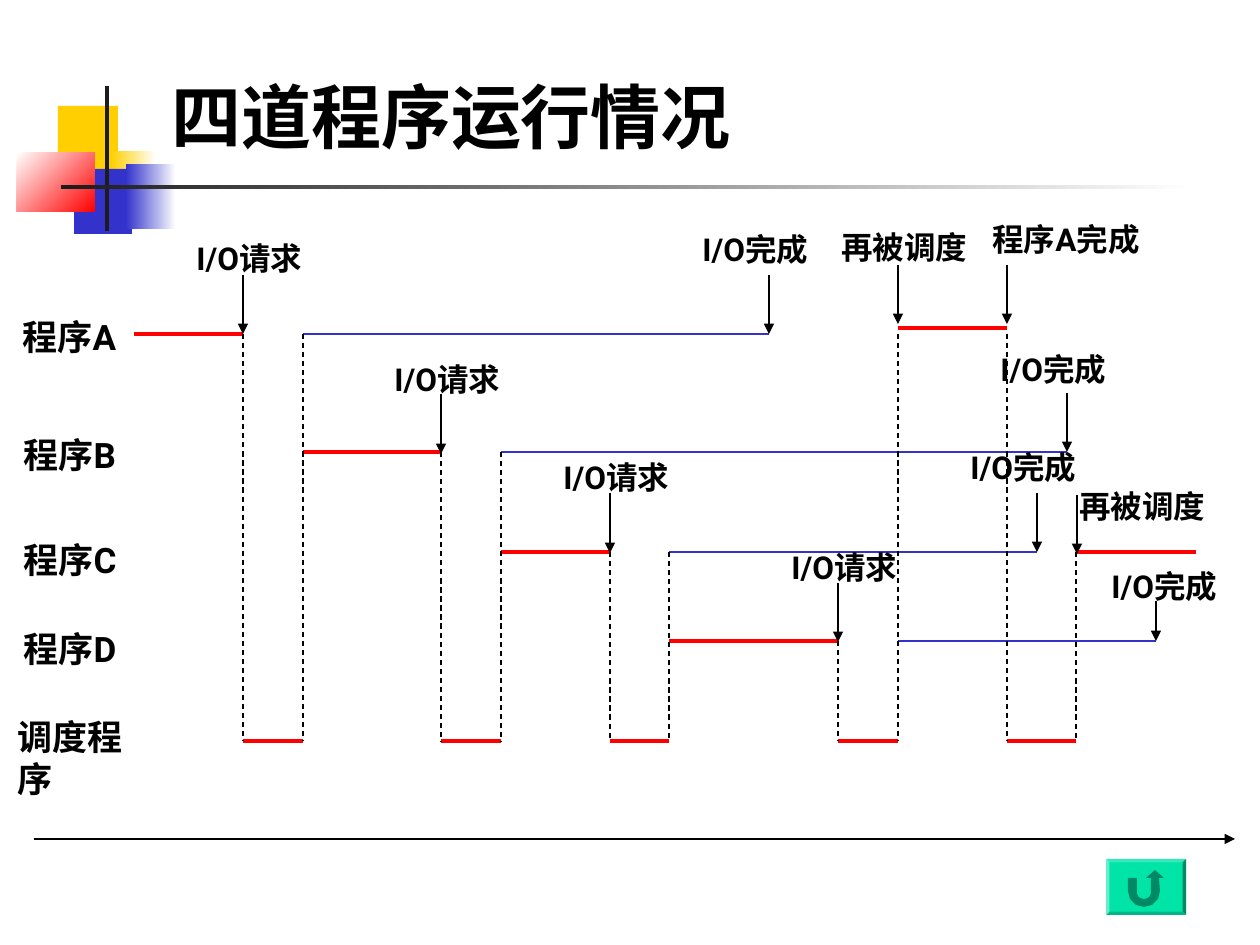
import math
import pptx
import pptx.util
import pptx.dml.color
import pptx.enum.dml
import pptx.enum.shapes
import pptx.enum.text
import pptx.oxml
import pptx.oxml.ns

SCALE = 914400 / 126  # EMU in one px
HUES = {"ink": "000000", "dark": "1C1C1C", "white": "FFFFFF", "gold": "FFCF01",
        "blue": "3333CC", "red": "FF0000", "mint": "00E4A8", "pine": "008965"}
SHAPES = pptx.enum.shapes.MSO_SHAPE
ANCHOR = pptx.enum.text.MSO_ANCHOR


def emu(px):
    return pptx.util.Emu(round(px * SCALE))


def hue(name):
    return pptx.dml.color.RGBColor.from_string(HUES[name])


class Board:
    def __init__(self, slide):
        self.slide = slide
        self.font = "Roboto"

    def paint(self, shape, color):
        shape.shadow.inherit = False
        shape.line.fill.background()
        shape.fill.solid()
        shape.fill.fore_color.rgb = hue(color)
        return shape

    def block(self, x, y, w, h, color, kind=SHAPES.RECTANGLE):
        box = self.slide.shapes.add_shape(kind, emu(x), emu(y), emu(w), emu(h))
        return self.paint(box, color)

    def fade(self, x, y, w, h, first, last, angle=0):
        fill = self.block(x, y, w, h, first).fill
        fill.gradient()
        fill.gradient_angle = angle
        for stop, color in zip(fill.gradient_stops, (first, last)):
            stop.color.rgb = hue(color)

    def line(self, x1, y1, x2, y2, color="ink", width=0.75, dash=False, arrow=False):
        link = self.slide.shapes.add_connector(
            pptx.enum.shapes.MSO_CONNECTOR.STRAIGHT, emu(x1), emu(y1), emu(x2), emu(y2))
        link.line.color.rgb = hue(color)
        link.line.width = pptx.util.Pt(width)
        if dash:
            link.line.dash_style = pptx.enum.dml.MSO_LINE.DASH
        if arrow:
            head = pptx.oxml.ns.qn("a:tailEnd")
            link.line._get_or_add_ln().makeelement(head)
            tail = pptx.oxml.parse_xml(
                f'<a:tailEnd {pptx.oxml.ns.nsdecls("a")} type="triangle"/>')
            link.line._get_or_add_ln().append(tail)
        link._element.spPr.append(pptx.oxml.parse_xml(
            f'<a:effectLst {pptx.oxml.ns.nsdecls("a")}/>'))

    def text(self, words, x, y, w, h, size, font=None, wrap=False, anchor=ANCHOR.TOP):
        box = self.slide.shapes.add_textbox(emu(x), emu(y), emu(w), emu(h))
        frame = box.text_frame
        frame.word_wrap = wrap
        frame.vertical_anchor = anchor
        frame.text = words
        style = frame.paragraphs[0].runs[0].font
        style.name = font or self.font
        style.size = pptx.util.Pt(size)
        style.bold = True
        style.color.rgb = hue("ink")

    def outline(self, dots, color):
        pen = self.slide.shapes.build_freeform(*dots[0], scale=SCALE)
        pen.add_line_segments(dots[1:], close=True)
        return self.paint(pen.convert_to_shape(), color)


def arc(x, y, r, start, end):
    """Points on a circle, angles in degrees, y pointing down."""
    turns = [math.radians(start + (end - start) * i / 12) for i in range(13)]
    return [(x + r * math.cos(t), y + r * math.sin(t)) for t in turns]


def main():
    deck = pptx.Presentation()
    deck.slide_width, deck.slide_height = emu(1260), emu(945)
    board = Board(deck.slides.add_slide(deck.slide_layouts[6]))

    # Corner ornament and title
    board.block(58, 106, 60, 65, "gold")
    board.fade(111, 151, 45, 65, "gold", "white")
    board.block(74, 169, 58, 65, "blue")
    board.fade(126, 164, 50, 65, "blue", "white")
    board.fade(17, 153, 78, 59, "white", "red", 315)
    board.block(105, 86, 4, 145, "dark")
    board.fade(61, 185, 1134, 4, "dark", "white")
    board.text("四道程序运行情况", 159, 6, 1074, 158, 40, "Arial", True, ANCHOR.BOTTOM)

    # Time axis
    board.line(34, 839, 1235, 839, arrow=True)

    # Rows: running in red, waiting for I/O in blue
    row = {"A": 334, "B": 452, "C": 552, "D": 641}
    base = 741
    runs = [(134, 243, row["A"]), (898, 1007, 328), (303, 441, row["B"]),
            (501, 610, row["C"]), (1076, 1196, row["C"]), (669, 838, row["D"])]
    waits = [(303, 769, "A"), (501, 1067, "B"), (669, 1037, "C"), (898, 1156, "D")]
    for x1, x2, y in runs:
        board.line(x1, y, x2, y, "red", 2.25)
    for x1, x2, name in waits:
        board.line(x1, row[name], x2, row[name], "blue")

    # Scheduler turns, and the dashed lines that drop to them
    turns = [(243, 303), (441, 501), (610, 669), (838, 898), (1007, 1076)]
    for x1, x2 in turns:
        board.line(x1, base, x2, base, "red", 2.25)
    drops = [(x, y) for pair, y in zip(turns, row.values()) for x in pair]
    drops += [(898, row["A"]), (1007, row["A"]), (1076, row["C"])]
    for x, y in drops:
        board.line(x, y, x, base, dash=True)

    # Row labels; the third is too narrow for one line
    labels = [("程序A", 10, 309, 127), ("程序B", 11, 427, 127), ("程序C", 11, 532, 126),
              ("程序D", 11, 621, 130), ("调度程序", 5, 709, 165)]
    for words, x, y, w in labels:
        board.text(words, x, y, w, 55, 20, wrap=words == "程序C")

    # Events: words, text left and top, arrow x, start and end
    ask, done, again = "I/O请求", "I/O完成", "再被调度"
    wide = {ask: 146, done: 146, again: 151, "程序A完成": 188}
    events = [(ask, 184, 233, 243, 275, 334), (done, 690, 224, 769, 275, 334),
              (again, 829, 222, 898, 265, 324), ("程序A完成", 980, 214, 1007, 265, 324),
              (ask, 382, 354, 441, 394, 454), (ask, 551, 452, 610, 493, 553),
              (ask, 779, 542, 838, 583, 642), (done, 988, 344, 1067, 393, 452),
              (done, 958, 442, 1037, 493, 552), (done, 1099, 561, 1156, 601, 641),
              (again, 1067, 481, 1077, 495, 554)]
    for words, x, y, at, top, end in events:
        board.line(at, top, at, end, arrow=True)
        board.text(words, x, y, wide[words], 50, 18)

    # Return button
    key = board.block(1106, 859, 80, 56, "mint", SHAPES.BEVEL)
    key.adjustments[0] = 0.06
    hook = [(1128, 878), (1137, 878)] + arc(1144, 892, 7, 180, 90)
    hook += arc(1144, 892, 7, 90, 0) + [(1151, 878), (1146, 878), (1155, 870),
                                       (1164, 878), (1159, 878)]
    hook += arc(1144, 891, 16, 0, 180)
    board.outline(hook, "pine")

    deck.save("out.pptx")


if __name__ == "__main__":
    main()
